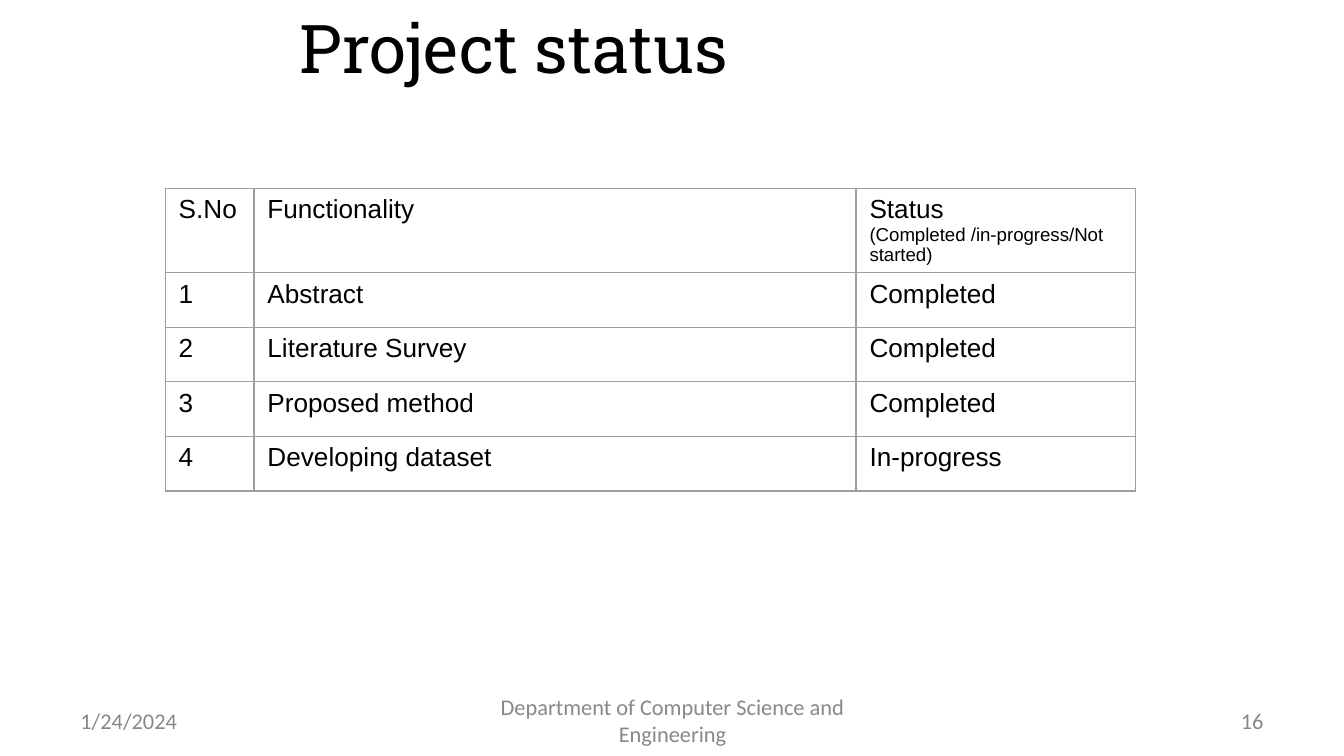
from lxml.etree import SubElement
from pptx import Presentation
from pptx.dml.color import RGBColor
from pptx.enum.text import MSO_ANCHOR, MSO_AUTO_SIZE, PP_ALIGN
from pptx.oxml.ns import qn
from pptx.util import Inches, Pt


def color(value):
    return RGBColor.from_string(value)


def write(para, text, size=14, font="Arial", ink="000000", align=PP_ALIGN.LEFT):
    para.alignment = align
    span = para.add_run()
    span.text = text
    span.font.size = Pt(size)
    span.font.name = font
    span.font.bold = False
    span.font.color.rgb = color(ink)


class StatusPage:
    title_style = dict(size=36, font="Roboto Slab", align=PP_ALIGN.CENTER)
    footer_style = dict(size=12, font="Calibri", ink="888888")
    border_color = "9E9E9E"
    border_width = Pt(0.75)

    def __init__(self, deck):
        self.page = deck.slides.add_slide(deck.slide_layouts[5])

    def fit_frame(self, box):
        frame = box.text_frame
        frame.word_wrap = True
        frame.auto_size = MSO_AUTO_SIZE.NONE
        frame.vertical_anchor = MSO_ANCHOR.MIDDLE
        return frame.paragraphs[0]

    def title(self, text, left, top, width, height):
        box = self.page.shapes.title
        box.left, box.top = Inches(left), Inches(top)
        box.width, box.height = Inches(width), Inches(height)
        write(self.fit_frame(box), text, **self.title_style)

    def footer(self, text, left, width, align):
        box = self.page.shapes.add_textbox(
            Inches(left), Inches(5.21), Inches(width), Inches(0.3))
        write(self.fit_frame(box), text, align=align, **self.footer_style)

    def border(self, cell):
        properties = cell._tc.get_or_add_tcPr()
        for side in ("a:lnL", "a:lnR", "a:lnT", "a:lnB"):
            line = SubElement(properties, qn(side), w=str(self.border_width))
            fill = SubElement(line, qn("a:solidFill"))
            SubElement(fill, qn("a:srgbClr"), val=self.border_color)

    def table(self, rows, left, top, widths, height):
        table = self.page.shapes.add_table(
            len(rows), len(widths), Inches(left), Inches(top),
            Inches(sum(widths)), Inches(height)).table
        table.first_row = table.horz_banding = False
        for column, width in zip(table.columns, widths):
            column.width = Inches(width)
        for row, texts in enumerate(rows):
            for column, text in enumerate(texts):
                cell = table.cell(row, column)
                self.border(cell)
                cell.fill.background()
                write(cell.text_frame.paragraphs[0], text)
        return table


def main():
    # Widescreen page, 16 to 9
    deck = Presentation()
    deck.slide_width = Inches(10)
    deck.slide_height = deck.slide_width * 9 // 16
    status = StatusPage(deck)

    # Title
    status.title("Project status", 0.48, 0, 6.69, 0.69)

    # Status table, with a smaller hint under the last heading
    rows = [
        ("S.No", "Functionality", "Status"),
        ("1", "Abstract", "Completed"),
        ("2", "Literature Survey", "Completed"),
        ("3", "Proposed method", "Completed"),
        ("4", "Developing dataset", "In-progress"),
    ]
    table = status.table(rows, 1.23, 1.4, (0.66, 4.48, 2.08), 2.03)
    hint = table.cell(0, 2).text_frame.add_paragraph()
    write(hint, "(Completed /in-progress/Not started)", size=10)

    # Footer: date, department, page number
    status.footer("1/24/2024", 0.5, 2.33, PP_ALIGN.LEFT)
    status.footer("Department of Computer Science and Engineering",
                  3.42, 3.17, PP_ALIGN.CENTER)
    status.footer("16", 7.17, 2.33, PP_ALIGN.RIGHT)

    deck.save("out.pptx")


if __name__ == "__main__":
    main()
